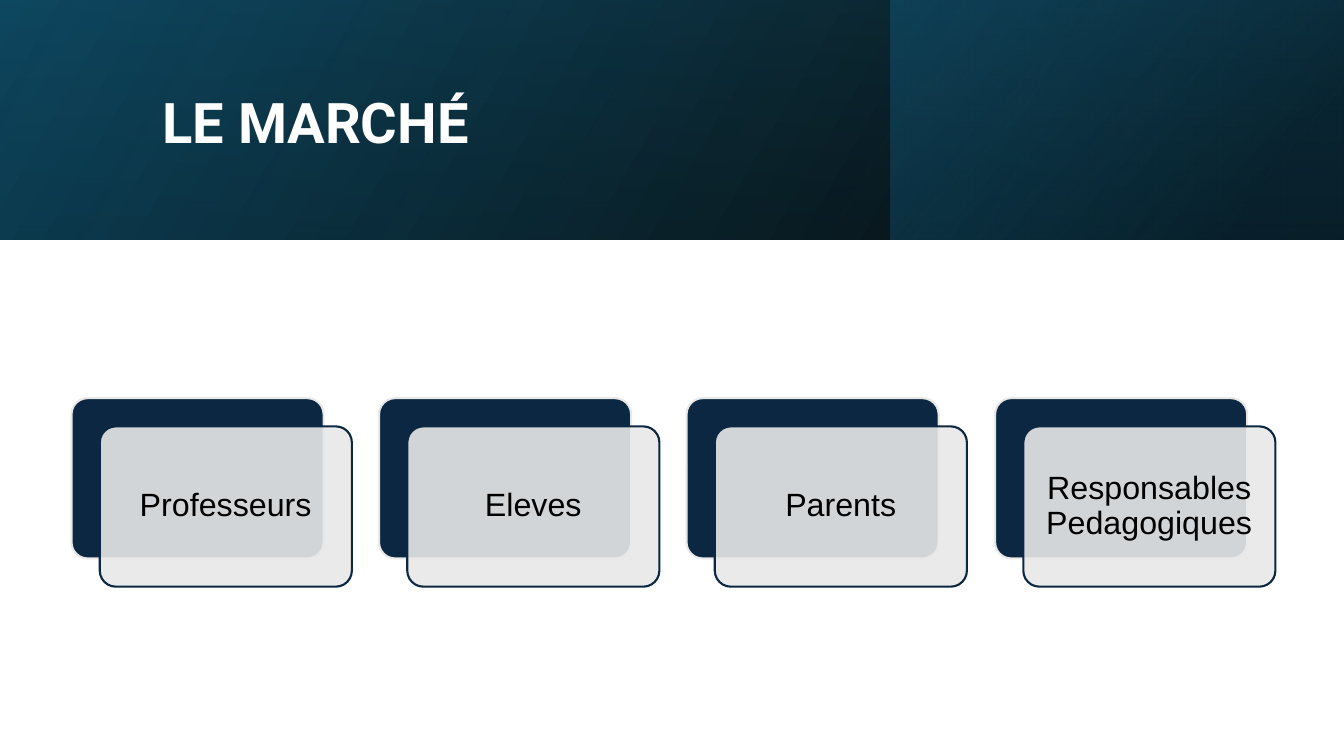
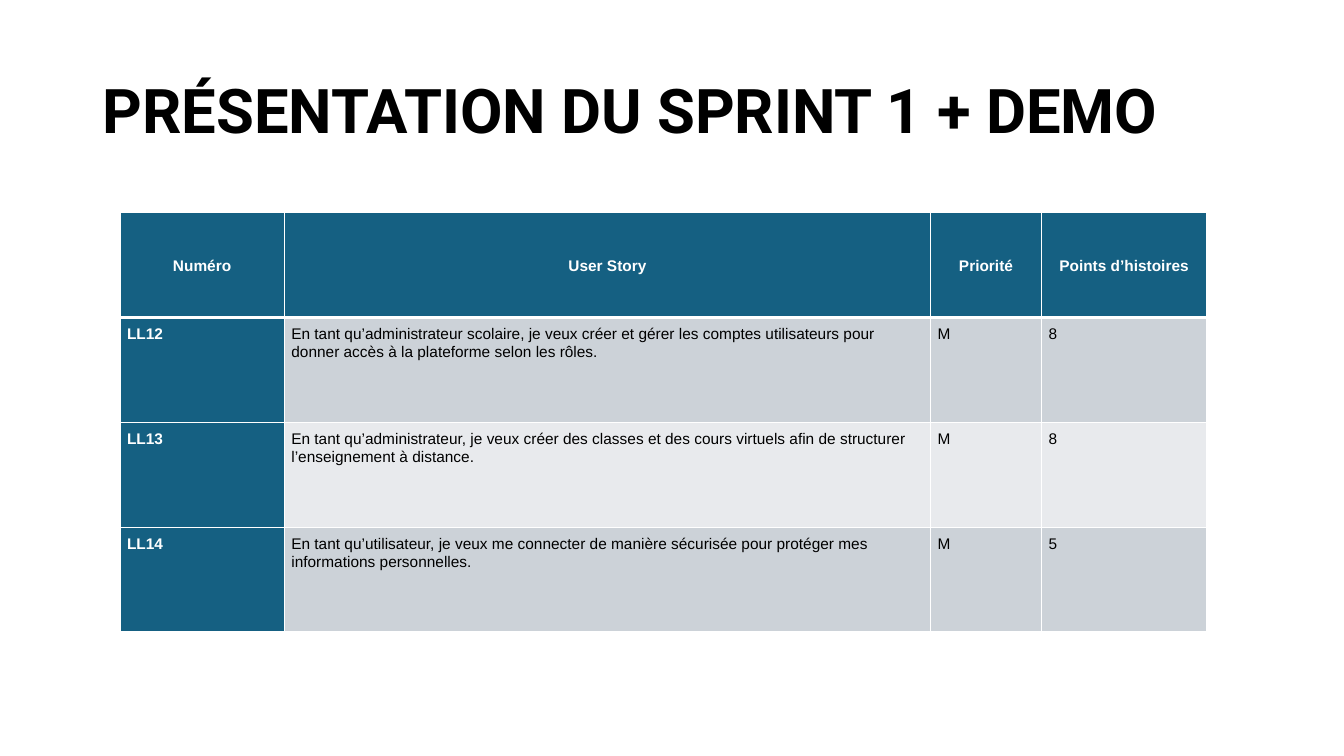
import pptx
import pptx.dml.color
import pptx.enum.shapes
import pptx.enum.text
import pptx.oxml
import pptx.oxml.ns
import pptx.util

EMU_PER_PX = 9144
SLIDE_WIDTH, SLIDE_HEIGHT = 1333, 750
TITLE_FONT, BODY_FONT = "Roboto", "Arial"
WHITE, BLACK = "FFFFFF", "000000"
NAVY, PALE = "0B2741", "E8E8E8"
TEAL, DEEP_TEAL, DARK_TEAL = "156082", "0F4861", "0A3041"
ROW_TINTS = ("CCD2D8", "E8EAED")
LEFT = pptx.enum.text.PP_ALIGN.LEFT
CENTER = pptx.enum.text.PP_ALIGN.CENTER
TOP = pptx.enum.text.MSO_ANCHOR.TOP
MIDDLE = pptx.enum.text.MSO_ANCHOR.MIDDLE
RECTANGLE = pptx.enum.shapes.MSO_SHAPE.RECTANGLE
ROUNDED = pptx.enum.shapes.MSO_SHAPE.ROUNDED_RECTANGLE


def px(length):
    return pptx.util.Emu(length * EMU_PER_PX)


def rgb(hex_color):
    return pptx.dml.color.RGBColor.from_string(hex_color)


def set_opacity(color_element, percent):
    alpha = color_element.makeelement(pptx.oxml.ns.qn("a:alpha"), {"val": str(percent * 1000)})
    color_element.append(alpha)


def set_borders(cell, top, bottom):
    """Draw white borders; top and bottom are widths in points."""
    properties = cell._tc.get_or_add_tcPr()
    widths = {"lnL": 1, "lnR": 1, "lnT": top, "lnB": bottom}
    for index, (side, width) in enumerate(widths.items()):
        line = pptx.oxml.parse_xml(
            f'<a:{side} {pptx.oxml.ns.nsdecls("a")} w="{width * 12700}">'
            f'<a:solidFill><a:srgbClr val="{WHITE}"/></a:solidFill></a:{side}>')
        properties.insert(index, line)


class Deck:
    """Holds the presentation, its style and the current slide."""

    def __init__(self):
        self.presentation = pptx.Presentation()
        self.presentation.slide_width = px(SLIDE_WIDTH)
        self.presentation.slide_height = px(SLIDE_HEIGHT)
        self.slide = None

    def add_slide(self):
        title_only = self.presentation.slide_layouts[5]
        self.slide = self.presentation.slides.add_slide(title_only)

    def set_text(self, text_frame, text, size, color, font=BODY_FONT, bold=False,
                 align=LEFT, spacing=0.9):
        text_frame.text = text
        text_frame.word_wrap = True
        paragraph = text_frame.paragraphs[0]
        paragraph.alignment = align
        paragraph.line_spacing = spacing
        style = paragraph.runs[0].font
        style.name, style.size, style.bold = font, pptx.util.Pt(size), bold
        style.color.rgb = rgb(color)
        return paragraph

    def title(self, text, left, top, width, height, size, color):
        """Fill the title placeholder and bring it to the front."""
        title = self.slide.shapes.title
        title.left, title.top = px(left), px(top)
        title.width, title.height = px(width), px(height)
        self.set_text(title.text_frame, text, size, color, TITLE_FONT, bold=True)
        title.text_frame.auto_size = pptx.enum.text.MSO_AUTO_SIZE.NONE
        title.text_frame.vertical_anchor = MIDDLE
        self.slide.shapes._spTree.append(title._element)

    def shape(self, kind, left, top, width, height):
        shape = self.slide.shapes.add_shape(kind, px(left), px(top), px(width), px(height))
        shape.shadow.inherit = False
        return shape

    def gradient_band(self, left, width, height, angle, stops):
        """Draw a band at the top; stops are (position, colour, opacity)."""
        band = self.shape(RECTANGLE, left, 0, width, height)
        band.line.fill.background()
        band.fill.gradient()
        band.fill.gradient_angle = angle
        for stop, (position, color, _) in zip(band.fill.gradient_stops, stops):
            stop.position = position
            stop.color.rgb = rgb(color)
        colors = band._element.spPr.iter(pptx.oxml.ns.qn("a:srgbClr"))
        for color_element, (_, _, opacity) in zip(list(colors), stops):
            set_opacity(color_element, opacity)

    def rounded_box(self, left, top, width, height, fill, line):
        box = self.shape(ROUNDED, left, top, width, height)
        box.adjustments[0] = 0.1
        box.fill.solid()
        box.fill.fore_color.rgb = rgb(fill)
        box.line.color.rgb = rgb(line)
        box.line.width = pptx.util.Pt(1.5)
        return box

    def card(self, text, left, top):
        """Draw a navy box with a translucent labelled box over it."""
        width, height, offset, inset = 250, 159, 28, 14
        self.rounded_box(left, top, width, height, NAVY, PALE)
        front = self.rounded_box(left + offset, top + offset, width, height, PALE, NAVY)
        fill_color = front._element.spPr.find(".//" + pptx.oxml.ns.qn("a:srgbClr"))
        set_opacity(fill_color, 90)
        frame = front.text_frame
        self.set_text(frame, text, 23, BLACK, align=CENTER)
        frame.vertical_anchor = MIDDLE
        frame.margin_left = frame.margin_right = px(inset)
        frame.margin_top = frame.margin_bottom = px(inset)

    def table(self, rows, left, top, column_widths, row_height):
        frame = self.slide.shapes.add_table(
            len(rows), len(column_widths), px(left), px(top),
            px(sum(column_widths)), px(row_height * len(rows)))
        table = frame.table
        for column, width in zip(table.columns, column_widths):
            column.width = px(width)
        for row_index, values in enumerate(rows):
            table.rows[row_index].height = px(row_height)
            for column_index, value in enumerate(values):
                self.cell(table.cell(row_index, column_index), value, row_index, column_index)

    def cell(self, cell, text, row_index, column_index):
        in_header = row_index == 0
        strong = in_header or column_index == 0
        paragraph = self.set_text(cell.text_frame, text, 11, WHITE if strong else BLACK,
                                  bold=strong, align=CENTER if in_header else LEFT,
                                  spacing=1.07)
        paragraph.space_after = pptx.util.Pt(8)
        cell.vertical_anchor = MIDDLE if in_header else TOP
        cell.margin_left = cell.margin_right = px(7)
        cell.margin_top = cell.margin_bottom = px(7)
        cell.fill.solid()
        cell.fill.fore_color.rgb = rgb(TEAL if strong else ROW_TINTS[(row_index - 1) % 2])
        set_borders(cell, top=3 if row_index == 1 else 1, bottom=3 if in_header else 1)


def build_market(deck):
    deck.add_slide()
    band_height, panel_left = 238, 883
    deck.gradient_band(0, SLIDE_WIDTH, band_height, 330,
                       [(0, DEEP_TEAL, 100), (1, BLACK, 96)])
    deck.gradient_band(panel_left, SLIDE_WIDTH - panel_left, band_height, 320,
                       [(0, TEAL, 48), (0.81, DARK_TEAL, 68)])
    deck.gradient_band(0, SLIDE_WIDTH, band_height, 270,
                       [(0, DEEP_TEAL, 16), (1, BLACK, 12)])
    deck.title("LE MARCHÉ", 151, 38, 1063, 172, 40, WHITE)

    audiences = ["Professeurs", "Eleves", "Parents", "Responsables Pedagogiques"]
    first_left, last_left = 71, 987
    for index, audience in enumerate(audiences):
        left = first_left + (last_left - first_left) * index // (len(audiences) - 1)
        deck.card(audience, left, 395)


def build_sprint(deck):
    deck.add_slide()
    deck.title("PRÉSENTATION DU SPRINT 1 + DEMO", 92, 40, 1150, 145, 44, BLACK)
    stories = [
        ("Numéro", "User Story", "Priorité", "Points d’histoires"),
        ("LL12", "En tant qu’administrateur scolaire, je veux créer et gérer les comptes "
                 "utilisateurs pour donner accès à la plateforme selon les rôles.", "M", "8"),
        ("LL13", "En tant qu’administrateur, je veux créer des classes et des cours virtuels "
                 "afin de structurer l’enseignement à distance.", "M", "8"),
        ("LL14", "En tant qu’utilisateur, je veux me connecter de manière sécurisée pour "
                 "protéger mes informations personnelles.", "M", "5"),
    ]
    deck.table(stories, 119, 211, [163, 641, 110, 164], 104)


def main():
    deck = Deck()
    build_market(deck)
    build_sprint(deck)
    deck.presentation.save("out.pptx")


if __name__ == "__main__":
    main()
